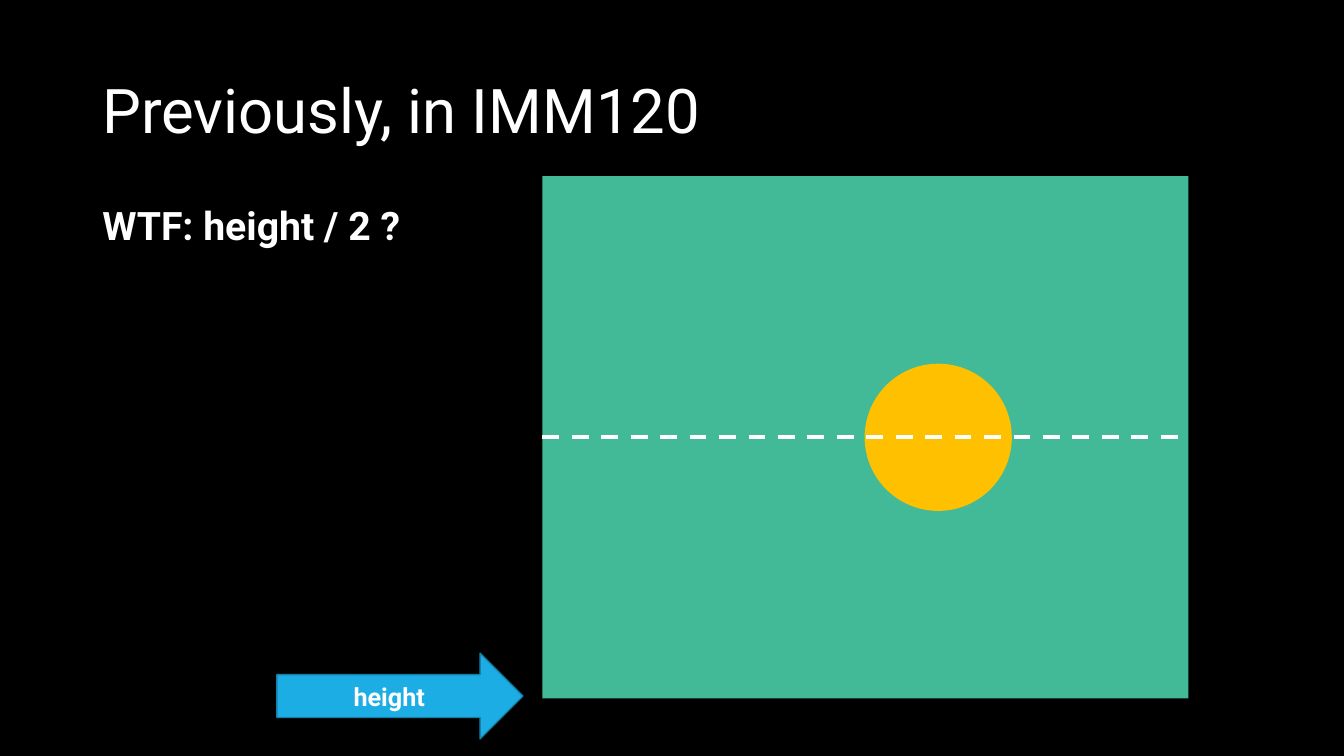
from lxml.etree import SubElement
from pptx import Presentation
from pptx.dml.color import RGBColor
from pptx.enum.dml import MSO_LINE
from pptx.enum.shapes import MSO_CONNECTOR, MSO_SHAPE
from pptx.enum.text import MSO_ANCHOR, PP_ALIGN
from pptx.oxml.ns import qn
from pptx.util import Cm, Pt

BLACK = RGBColor(0x00, 0x00, 0x00)
WHITE = RGBColor(0xFF, 0xFF, 0xFF)
GREEN = RGBColor(0x42, 0xBA, 0x97)
YELLOW = RGBColor(0xFF, 0xC0, 0x00)
BLUE = RGBColor(0x1C, 0xAD, 0xE4)
DARK_BLUE = RGBColor(0x15, 0x80, 0xA9)


def write(shape, text, anchor, size, bold=False, **paragraph_format):
    frame = shape.text_frame
    frame.word_wrap = True
    frame.vertical_anchor = anchor
    para = frame.paragraphs[0]
    for name, value in paragraph_format.items():
        setattr(para, name, value)
    span = para.add_run()
    span.text = text
    for name, value in {"name": "Roboto", "size": Pt(size), "bold": bold}.items():
        setattr(span.font, name, value)
    span.font.color.rgb = WHITE


def add_figure(page, kind, box, fill, outline=None):
    shape = page.shapes.add_shape(kind, *box)
    shape.shadow.inherit = False
    shape.fill.solid()
    shape.fill.fore_color.rgb = fill
    if outline is None:
        shape.line.fill.background()
    else:
        shape.line.color.rgb = outline
        shape.line.width = Pt(1)
    return shape


def add_text(page, box, text, anchor, size, bold=False):
    write(page.shapes.add_textbox(*box), text, anchor, size, bold, line_spacing=0.9)


def add_canvas(page, box):
    left, top, width, height = box
    middle = top + height // 2
    diameter = Cm(3.71)
    canvas = add_figure(page, MSO_SHAPE.RECTANGLE, box, GREEN)
    ball_left = left + Cm(8.12)
    ball_box = (ball_left, middle - diameter // 2, diameter, diameter)
    add_figure(page, MSO_SHAPE.OVAL, ball_box, YELLOW)
    midline = page.shapes.add_connector(
        MSO_CONNECTOR.STRAIGHT, left, middle, left + width, middle)
    midline.begin_connect(canvas, 1)
    midline.end_connect(canvas, 3)
    midline.line.color.rgb = WHITE
    midline.line.width = Pt(3)
    midline.line.dash_style = MSO_LINE.DASH
    SubElement(midline.line._get_or_add_ln().getparent(), qn("a:effectLst"))


def add_height_arrow(page, box):
    arrow = add_figure(page, MSO_SHAPE.RIGHT_ARROW, box, BLUE, DARK_BLUE)
    write(arrow, "height", MSO_ANCHOR.MIDDLE, 18, True, alignment=PP_ALIGN.CENTER)


def main():
    deck = Presentation()
    deck.slide_width, deck.slide_height = Cm(33.87), Cm(19.05)
    page = deck.slides.add_slide(deck.slide_layouts[6])
    page.background.fill.solid()
    page.background.fill.fore_color.rgb = BLACK
    margin, text_width = Cm(2.33), Cm(29.21)
    add_text(page, (margin, Cm(1.02), text_width, Cm(3.68)),
             "Previously, in IMM120", MSO_ANCHOR.MIDDLE, 44)
    add_text(page, (margin, Cm(5.08), text_width, Cm(12.09)),
             "WTF: height / 2 ?", MSO_ANCHOR.TOP, 28, True)
    add_canvas(page, (Cm(13.67), Cm(4.44), Cm(16.28), Cm(13.16)))
    add_height_arrow(page, (Cm(6.98), Cm(16.46), Cm(6.2), Cm(2.16)))
    deck.save("out.pptx")


if __name__ == "__main__":
    main()
